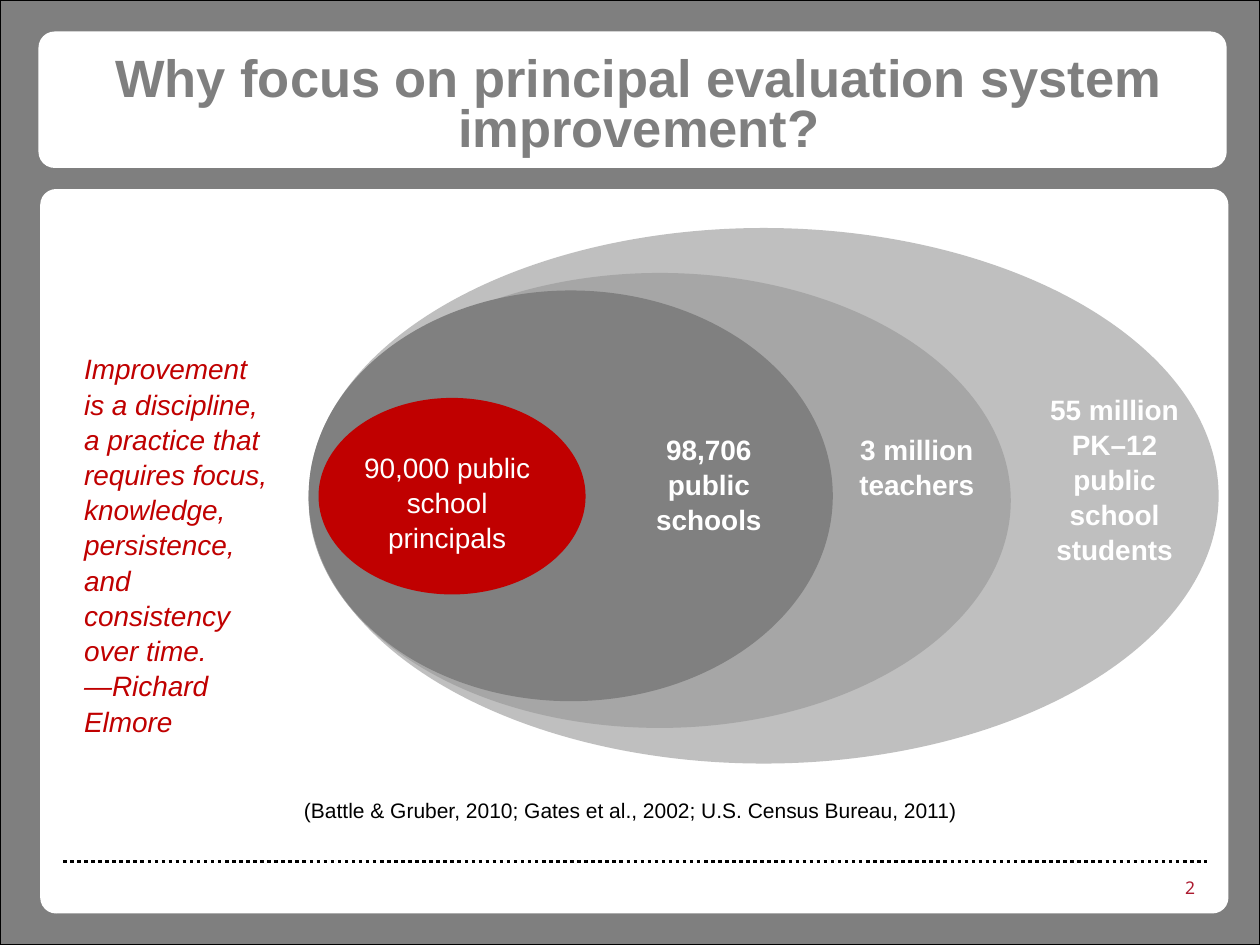
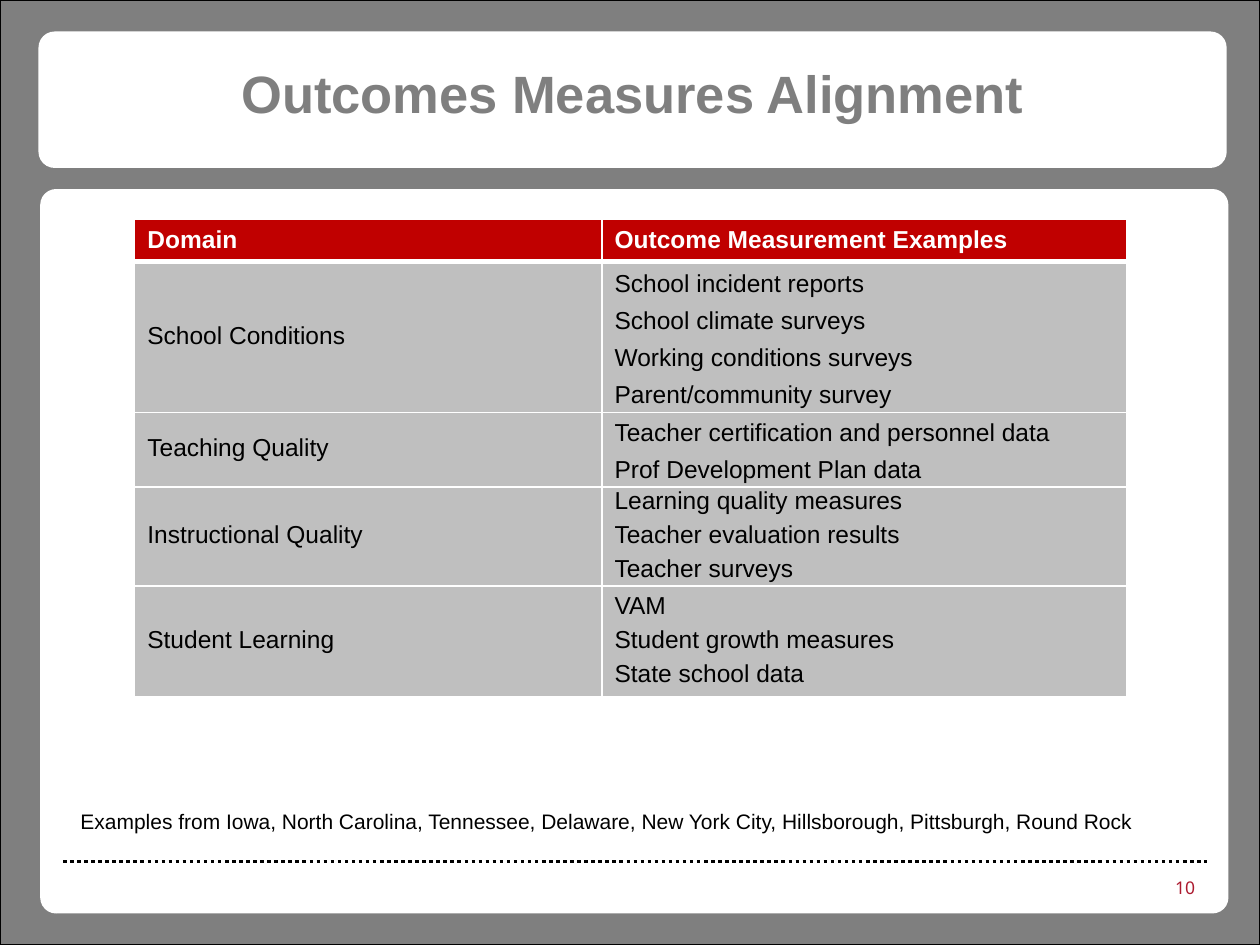
from lxml.etree import SubElement
from pptx import Presentation
from pptx.dml.color import RGBColor
from pptx.enum.dml import MSO_LINE
from pptx.enum.shapes import MSO_CONNECTOR, MSO_SHAPE as SHAPE
from pptx.enum.text import MSO_ANCHOR as ANCHOR, PP_ALIGN as ALIGN
from pptx.oxml.ns import qn
from pptx.util import Pt

WHITE = RGBColor(0xFF, 0xFF, 0xFF)
BLACK = RGBColor(0, 0, 0)
GRAY = RGBColor(0x7F, 0x7F, 0x7F)
RED = RGBColor(0xC0, 0, 0)
CRIMSON = RGBColor(0xAC, 0x1A, 0x2F)
LIGHT = RGBColor(0xBF, 0xBF, 0xBF)
MEDIUM = RGBColor(0xA6, 0xA6, 0xA6)
DARK = RGBColor(0x80, 0x80, 0x80)


def write(frame, text, size=16, color=BLACK, font="Arial", bold=False, italic=False,
          align=ALIGN.LEFT, anchor=ANCHOR.TOP, spacing=1.0, before=0, after=0):
    frame.word_wrap = True
    frame.vertical_anchor = anchor
    for i, line in enumerate(text.split("\n")):
        paragraph = frame.paragraphs[0] if i == 0 else frame.add_paragraph()
        paragraph.alignment = align
        paragraph.line_spacing = spacing
        paragraph.space_before = Pt(before)
        paragraph.space_after = Pt(after)
        run = paragraph.add_run()
        run.text = line
        run.font.name = font
        run.font.size = Pt(size)
        run.font.bold = bold
        run.font.italic = italic
        run.font.color.rgb = color


def add_panel(slide, kind, box, fill):
    panel = slide.shapes.add_shape(kind, *map(Pt, box))
    panel.shadow.inherit = False
    panel.fill.solid()
    panel.fill.fore_color.rgb = fill
    panel.line.fill.background()
    return panel


deck = Presentation()
deck.slide_width, deck.slide_height = Pt(720), Pt(540)

pages = [
    ("Why focus on principal evaluation system improvement?", (23.8, 22.3, 682.5, 77.8), "2"),
    ("Outcomes Measures Alignment", (23.8, 19.4, 675.4, 74.2), "10"),
]
slides = []
for title, title_box, number in pages:
    slide = deck.slides.add_slide(deck.slide_layouts[6])
    backdrop = add_panel(slide, SHAPE.RECTANGLE, (0, 0, 720, 540), GRAY)
    backdrop.line.color.rgb = BLACK
    backdrop.line.width = Pt(0.75)
    for box, rounding in [((22, 18, 679, 78), 0.119), ((23, 108, 679, 414), 0.022)]:
        card = add_panel(slide, SHAPE.ROUNDED_RECTANGLE, box, WHITE)
        card.adjustments[0] = rounding
    divider = slide.shapes.add_connector(MSO_CONNECTOR.STRAIGHT, Pt(36), Pt(492.2), Pt(690), Pt(492.2))
    divider.line.color.rgb = BLACK
    divider.line.width = Pt(2)
    divider.line.dash_style = MSO_LINE.ROUND_DOT
    SubElement(divider._element.spPr, qn("a:effectLst"))
    page_number = slide.shapes.add_textbox(Pt(628), Pt(497.5), Pt(62), Pt(19.4))
    write(page_number.text_frame, number, size=10, color=CRIMSON, font="Noto Sans", align=ALIGN.RIGHT)
    heading = slide.shapes.add_textbox(*map(Pt, title_box))
    write(heading.text_frame, title, size=30, color=GRAY, bold=True,
          align=ALIGN.CENTER, anchor=ANCHOR.MIDDLE, spacing=0.8)
    slides.append(slide)

reach, outcomes = slides

for box, fill in [
    ((176.4, 130.3, 520, 306), LIGHT),
    ((176.4, 156, 401.2, 260), MEDIUM),
    ((176.4, 166, 299.5, 234.7), DARK),
    ((182, 227.4, 152.6, 112.3), RED),
]:
    add_panel(reach, SHAPE.OVAL, box, fill)

for text, box, bold in [
    ("98,706 public schools", (357.2, 242.6, 95.8, 65.5), True),
    ("3 million teachers", (476, 242.6, 95.8, 46), True),
    ("55 million PK–12 public school students", (589, 219.6, 95.8, 104.4), True),
    ("90,000 public school principals", (193.2, 252.7, 124.6, 55.4), False),
]:
    label = reach.shapes.add_textbox(*map(Pt, box))
    write(label.text_frame, text, color=WHITE, bold=bold, align=ALIGN.CENTER, spacing=1.05)

quote = reach.shapes.add_textbox(Pt(41), Pt(196.6), Pt(123), Pt(239.8))
write(quote.text_frame,
      "Improvement is a discipline, a practice that requires focus, knowledge, persistence, "
      "and consistency over time.\n—Richard Elmore",
      color=RED, italic=True, spacing=1.05)

citation = reach.shapes.add_textbox(Pt(72), Pt(452.2), Pt(576.7), Pt(22.3))
write(citation.text_frame, "(Battle & Gruber, 2010; Gates et al., 2002; U.S. Census Bureau, 2011)",
      size=12, align=ALIGN.CENTER)

loose = {"spacing": 1.15, "after": 3}
tight = {"spacing": 0.85, "before": 3, "after": 3}
domains = [
    ("Domain", "Outcome Measurement Examples", 24, {}),
    ("School Conditions", "School incident reports\nSchool climate surveys\n"
     "Working conditions surveys\nParent/community survey", 86, loose),
    ("Teaching Quality", "Teacher certification and personnel data\nProf Development Plan data", 42.5, loose),
    ("Instructional Quality", "Learning quality measures\nTeacher evaluation results\nTeacher surveys", 56.7, tight),
    ("Student Learning", "VAM\nStudent growth measures\nState school data", 63.2, tight),
]
measures = outcomes.shapes.add_table(len(domains), 2, Pt(77), Pt(125.5), Pt(566.6), Pt(272.4)).table
for column, width in zip(measures.columns, (267, 299.6)):
    column.width = Pt(width)

for r, (domain, examples, height, example_format) in enumerate(domains):
    measures.rows[r].height = Pt(height)
    header = r == 0
    for c, text in enumerate((domain, examples)):
        cell = measures.cell(r, c)
        cell_properties = cell._tc.get_or_add_tcPr()
        for side in ("lnL", "lnR", "lnT", "lnB"):
            thick = (r, side) in [(0, "lnB"), (1, "lnT")]
            border = SubElement(cell_properties, qn(f"a:{side}"), w=str(Pt(3 if thick else 1)))
            SubElement(SubElement(border, qn("a:solidFill")), qn("a:srgbClr"), val=str(WHITE))
        cell.fill.solid()
        cell.fill.fore_color.rgb = RED if header else LIGHT
        cell.margin_left = cell.margin_right = Pt(7.2)
        cell.margin_top = cell.margin_bottom = Pt(0 if c and not header else 3.6)
        cell.vertical_anchor = ANCHOR.TOP if header else ANCHOR.MIDDLE
        text_format = {} if header else example_format if c else {"spacing": 0.85}
        write(cell.text_frame, text, size=14, color=WHITE if header else BLACK, bold=header,
              anchor=None, **text_format)

sources = outcomes.shapes.add_textbox(Pt(38.9), Pt(458.6), Pt(653.8), Pt(21.6))
write(sources.text_frame,
      "Examples from Iowa, North Carolina, Tennessee, Delaware, New York City, "
      "Hillsborough, Pittsburgh, Round Rock", size=12)

deck.save("out.pptx")
